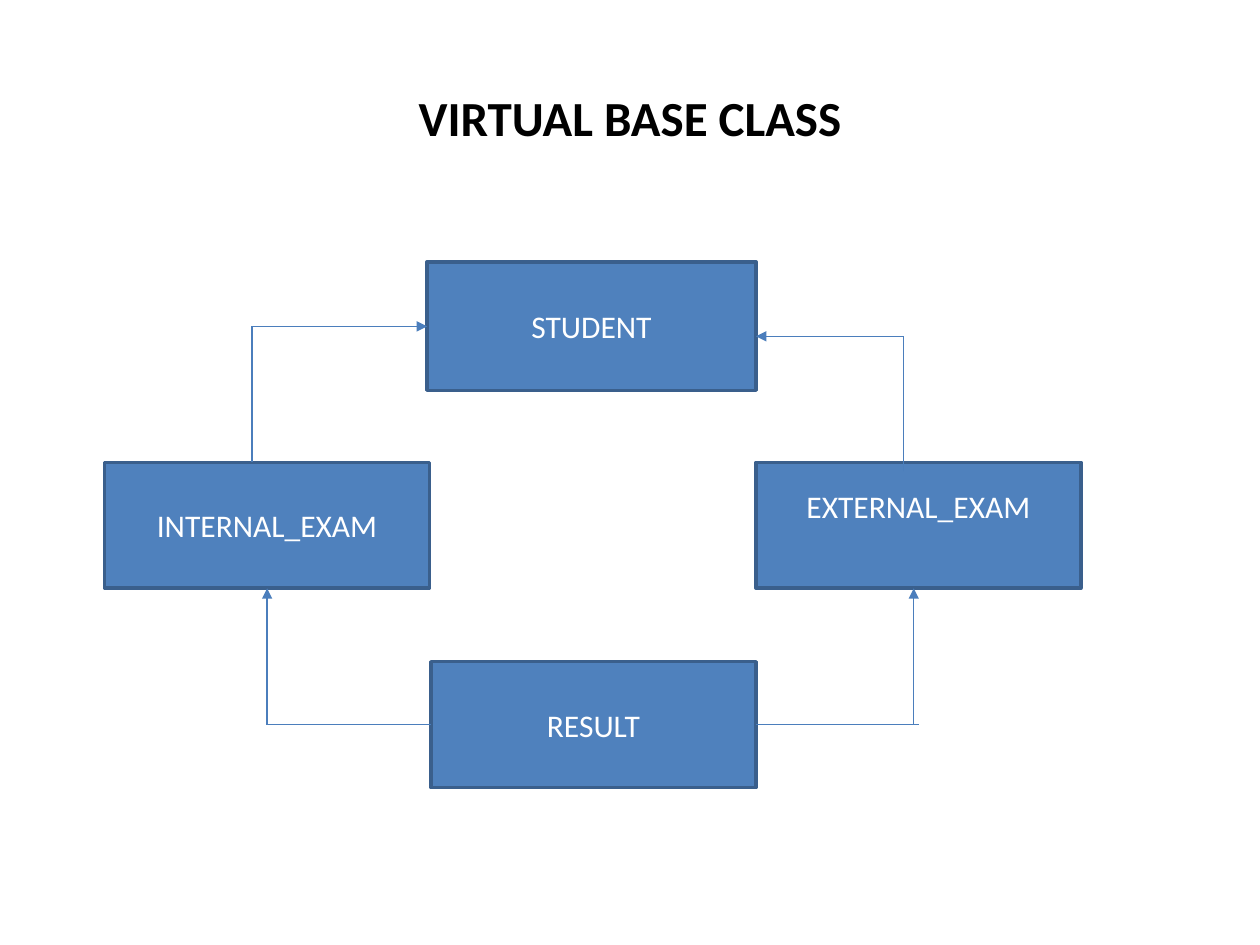
from lxml.etree import SubElement
from pptx import Presentation
from pptx.dml.color import RGBColor
from pptx.enum.shapes import MSO_CONNECTOR as Connector, MSO_SHAPE as Shape
from pptx.enum.text import MSO_ANCHOR as Anchor, PP_ALIGN as Align
from pptx.oxml.ns import qn
from pptx.util import Cm, Pt

# Content: lengths in centimetres
COLORS = {"fill": "4F81BD", "border": "3A5F8C", "line": "4B7EBC",
          "box text": "FFFFFF", "title": "000000"}
FONT = "Calibri"
TITLE = ("VIRTUAL BASE CLASS", (1.27, 0.76, 22.86, 3.18))
WIDTH, HEIGHT = 6.55, 2.54
EXAM_TOP, RESULT_TOP, RIGHT = 9.32, 13.34, 15.24
INTERNAL_LEFT, RESULT_LEFT, STUDENT_LEFT = 2.11, 8.69, 8.61
# name, left, top, width, height, bottom inset (a deep one lifts the label)
BOXES = [
    ("STUDENT", STUDENT_LEFT, 5.28, 6.63, 2.59, 0.13),
    ("INTERNAL_EXAM", INTERNAL_LEFT, EXAM_TOP, WIDTH, HEIGHT, 0.13),
    ("EXTERNAL_EXAM", RIGHT, EXAM_TOP, WIDTH, HEIGHT, 0.89),
    ("RESULT", RESULT_LEFT, RESULT_TOP, WIDTH, HEIGHT, 0.13),
]
EXAM_BOTTOM = EXAM_TOP + HEIGHT
RESULT_MIDDLE = RESULT_TOP + HEIGHT / 2
INTERNAL_MIDDLE = INTERNAL_LEFT + WIDTH / 2
# start, end, arrowhead at the end
LINES = [
    ((5.08, EXAM_TOP), (5.08, 6.58), False),
    ((5.08, 6.58), (STUDENT_LEFT, 6.58), True),
    ((18.21, 9.5), (18.21, 6.78), False),
    ((18.21, 6.78), (RIGHT, 6.78), True),
    ((RESULT_LEFT, RESULT_MIDDLE), (INTERNAL_MIDDLE, RESULT_MIDDLE), False),
    ((18.52, RESULT_MIDDLE), (RIGHT, RESULT_MIDDLE), False),
    ((INTERNAL_MIDDLE, RESULT_MIDDLE), (INTERNAL_MIDDLE, EXAM_BOTTOM), True),
    ((18.42, RESULT_MIDDLE), (18.42, EXAM_BOTTOM), True),
]


def color(name):
    return RGBColor.from_string(COLORS[name])


def write(shape, text, size, color_name, bold=False):
    frame = shape.text_frame
    frame.word_wrap = True
    frame.vertical_anchor = Anchor.MIDDLE
    paragraph = frame.paragraphs[0]
    paragraph.alignment = Align.CENTER
    run = paragraph.add_run()
    run.text = text
    run.font.name, run.font.size, run.font.bold = FONT, Pt(size), bold
    run.font.color.rgb = color(color_name)


def add_box(slide, name, left, top, width, height, bottom_inset):
    shape = slide.shapes.add_shape(
        Shape.RECTANGLE, Cm(left), Cm(top), Cm(width), Cm(height))
    shape.shadow.inherit = False
    shape.fill.solid()
    shape.fill.fore_color.rgb = color("fill")
    shape.line.color.rgb = color("border")
    shape.line.width = Pt(2)
    shape.text_frame.margin_bottom = Cm(bottom_inset)
    write(shape, name, 18, "box text")


def add_line(slide, start, end, arrow):
    connector = slide.shapes.add_connector(
        Connector.STRAIGHT, *(Cm(value) for value in start + end))
    connector.line.color.rgb = color("line")
    connector.line.width = Pt(0.75)
    if arrow:
        SubElement(connector.line._get_or_add_ln(), qn("a:tailEnd"), type="triangle")
    SubElement(connector._element.spPr, qn("a:effectLst"))


def main():
    presentation = Presentation()
    presentation.slide_width, presentation.slide_height = Cm(25.4), Cm(19.05)
    slide = presentation.slides.add_slide(presentation.slide_layouts[6])

    # Title
    text, place = TITLE
    title = slide.shapes.add_textbox(*(Cm(value) for value in place))
    write(title, text, 28, "title", bold=True)

    # Class boxes, then the inheritance lines over them
    for box in BOXES:
        add_box(slide, *box)
    for line in LINES:
        add_line(slide, *line)

    presentation.save("out.pptx")


if __name__ == "__main__":
    main()
